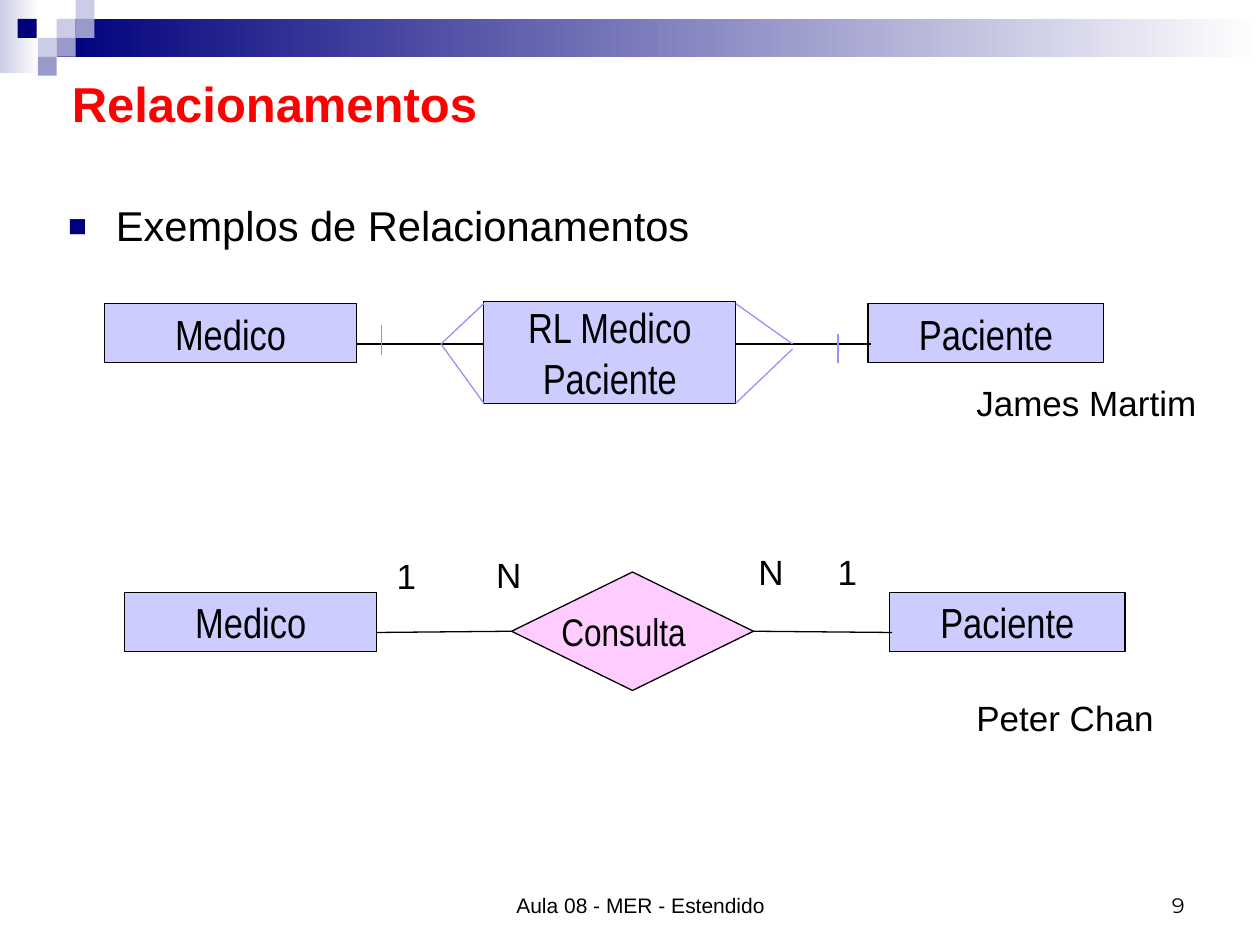
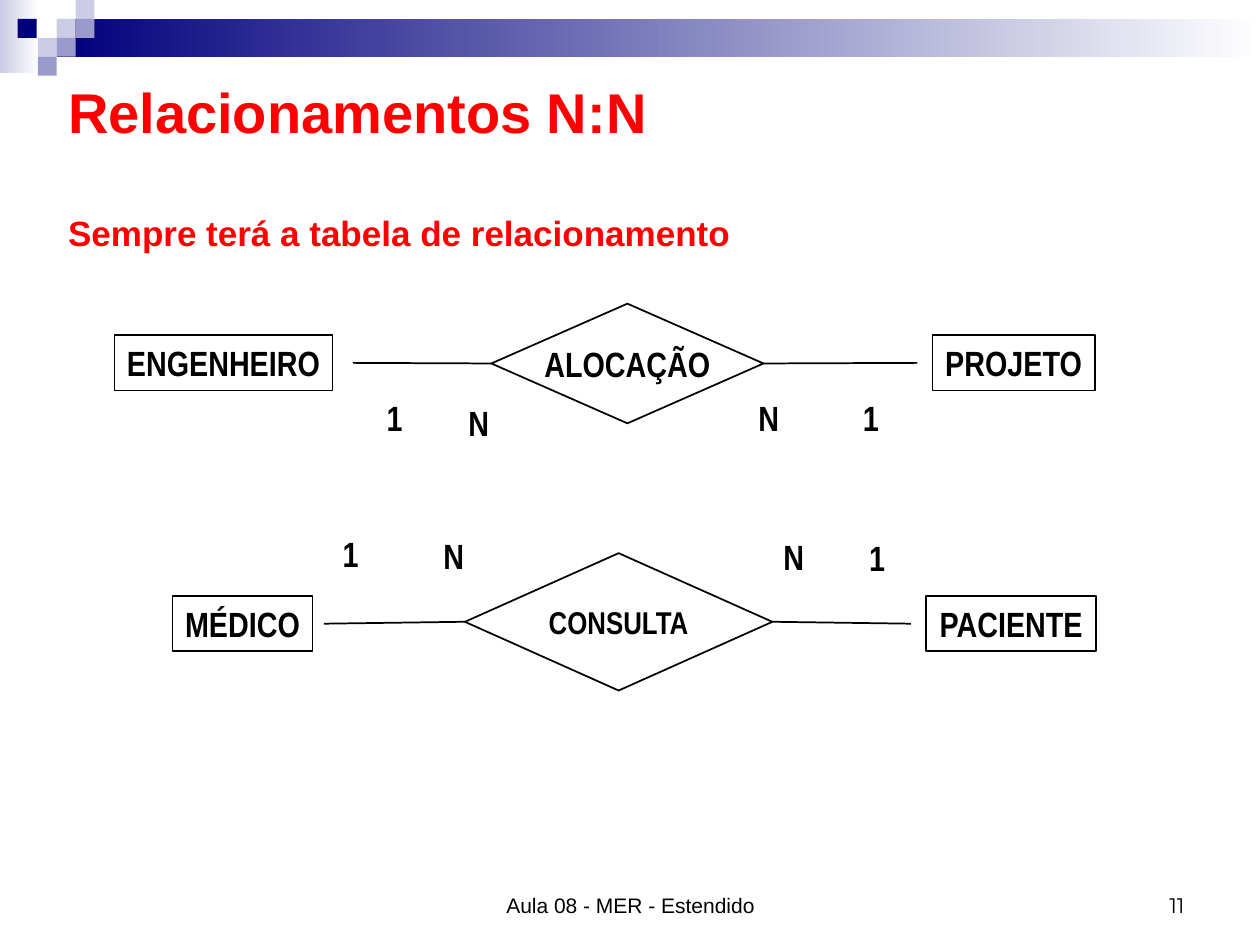
from lxml.etree import SubElement
from pptx import Presentation
from pptx.dml.color import RGBColor
from pptx.enum.shapes import MSO_CONNECTOR, MSO_SHAPE
from pptx.enum.text import MSO_ANCHOR, MSO_AUTO_SIZE, PP_ALIGN
from pptx.oxml.ns import qn
from pptx.util import Emu, Pt

BLACK = RGBColor(0x00, 0x00, 0x00)
WHITE = RGBColor(0xFF, 0xFF, 0xFF)
RED = RGBColor(0xFF, 0x00, 0x00)
NAVY = RGBColor(0x00, 0x00, 0x7D)
LAVENDER = RGBColor(0xCC, 0xCC, 0xE6)
VIOLET = RGBColor(0x99, 0x99, 0xCC)
ENTITY_BLUE = RGBColor(0xCC, 0xCC, 0xFF)
RELATION_PINK = RGBColor(0xFF, 0xCC, 0xFF)
CROW_FOOT = RGBColor(0x93, 0x93, 0xFC)

SANS = "Arial"
NARROW = "Arial Narrow"
NUMBER_FONT = "Montserrat"
LEFT_SIDE, RIGHT_SIDE = 1, 3
FOOTER = "Aula 08 - MER - Estendido"


def px(length):
    """Turn px (100 to the inch) into EMU."""
    return Emu(int(length * 9144))


class LessonDeck:
    """Hold the lesson style and the slide being drawn."""

    def __init__(self):
        """Open an empty 1000 by 750 px deck."""
        self.deck = Presentation()
        self.deck.slide_width, self.deck.slide_height = px(1000), px(750)
        self.page = None
        self.stroke = 0.75
        self.bold = False

    def new_page(self, number, footer_left, stroke, bold):
        """Add a slide with the shared band and footer."""
        self.page = self.deck.slides.add_slide(self.deck.slide_layouts[6])
        self.stroke, self.bold = stroke, bold
        self.block((0, 0, 31, 58), LAVENDER, WHITE)
        self.block((45, 15, 955, 30), NAVY, WHITE)
        for left, top, color in (
            (45, 15, LAVENDER), (60, 0, LAVENDER), (60, 15, VIOLET),
            (30, 30, LAVENDER), (14, 15, NAVY), (45, 30, VIOLET), (30, 45, VIOLET),
        ):
            self.block((left, top, 15, 15), color)
        self.text((717, 683, 233, 50), number, 12, NUMBER_FONT,
                  align=PP_ALIGN.RIGHT, anchor=MSO_ANCHOR.BOTTOM)
        self.text((footer_left, 683, 317, 50), FOOTER, 12,
                  align=PP_ALIGN.CENTER, anchor=MSO_ANCHOR.BOTTOM)

    def shape(self, kind, place):
        """Add a preset shape without shadow."""
        shape = self.page.shapes.add_shape(kind, *map(px, place))
        shape.shadow.inherit = False
        return shape

    def block(self, place, color, fade_to=None):
        """Add a borderless block, plain or fading to the right."""
        block = self.shape(MSO_SHAPE.RECTANGLE, place)
        block.line.fill.background()
        if fade_to is None:
            block.fill.solid()
            block.fill.fore_color.rgb = color
            return
        block.fill.gradient()
        block.fill.gradient_angle = 0
        for stop, stop_color in zip(block.fill.gradient_stops, (color, fade_to)):
            stop.color.rgb = stop_color

    def frame(self, box, anchor, wrap, inset=10, right=None):
        """Set up the text frame of a box."""
        frame = box.text_frame
        frame.word_wrap = wrap
        frame.vertical_anchor = anchor
        frame.margin_left = px(inset)
        frame.margin_right = px(inset if right is None else right)
        frame.margin_top = frame.margin_bottom = px(5)
        return frame

    def span(self, para, words, size, font, color=BLACK, bold=False):
        """Add one styled run to a paragraph."""
        span = para.add_run()
        span.text = words
        span.font.size, span.font.name, span.font.bold = Pt(size), font, bold
        span.font.color.rgb = color

    def text(self, place, words, size, font=SANS, color=BLACK, bold=False,
             align=PP_ALIGN.LEFT, anchor=MSO_ANCHOR.TOP, wrap=True, inset=10):
        """Add a one-paragraph text box and return its frame."""
        box = self.page.shapes.add_textbox(*map(px, place))
        frame = self.frame(box, anchor, wrap, inset)
        para = frame.paragraphs[0]
        para.alignment = align
        self.span(para, words, size, font, color, bold)
        return frame

    def title(self, place, words, size, subtitle=None):
        """Add the red title and, if given, a line below it."""
        frame = self.text(place, words, size, color=RED, bold=True,
                          anchor=MSO_ANCHOR.MIDDLE, inset=7)
        if subtitle:
            para = frame.add_paragraph()
            para.space_before = Pt(38)
            self.span(para, subtitle, 20, SANS, RED, True)

    def bullet(self, place, words):
        """Add a body line with a square bullet."""
        para = self.text(place, words, 23.8, inset=7).paragraphs[0]
        properties = para._p.get_or_add_pPr()
        properties.set("marL", str(px(38)))
        properties.set("indent", str(px(-38)))
        color = SubElement(properties, qn("a:buClr"))
        SubElement(color, qn("a:srgbClr"), val=str(NAVY))
        SubElement(properties, qn("a:buSzPct"), val="75000")
        SubElement(properties, qn("a:buFont"), typeface=SANS)
        SubElement(properties, qn("a:buChar"), char="■")

    def node(self, kind, place, lines, size, color=None, right=10):
        """Add an outlined diagram node with centred text."""
        node = self.shape(kind, place)
        if color is None:
            node.fill.background()
        else:
            node.fill.solid()
            node.fill.fore_color.rgb = color
        node.line.color.rgb, node.line.width = BLACK, Pt(self.stroke)
        frame = self.frame(node, MSO_ANCHOR.MIDDLE, False, right=right)
        for index, words in enumerate(lines):
            para = frame.add_paragraph() if index else frame.paragraphs[0]
            para.alignment = PP_ALIGN.CENTER
            self.span(para, words, size, NARROW, bold=self.bold)
        return node

    def entity(self, place, *lines, size=24, color=None):
        """Add an entity rectangle."""
        return self.node(MSO_SHAPE.RECTANGLE, place, lines, size, color)

    def relation(self, place, name, size, left_end, right_end, color=None, right=10):
        """Add a relationship diamond joined to a point on either side."""
        diamond = self.node(MSO_SHAPE.FLOWCHART_DECISION, place, [name], size, color, right)
        for end, side in ((left_end, LEFT_SIDE), (right_end, RIGHT_SIDE)):
            self.line(end, end, target=diamond, side=side)

    def line(self, start, end, color=BLACK, target=None, side=None):
        """Add a straight line, joined to a target side if one is given."""
        line = self.page.shapes.add_connector(MSO_CONNECTOR.STRAIGHT, *map(px, start + end))
        line.line.color.rgb, line.line.width = color, Pt(self.stroke)
        SubElement(line._element.spPr, qn("a:effectLst"))
        if target is not None:
            line.end_connect(target, side)

    def label(self, left, top, width, words, font=SANS):
        """Add a free label sized to its text."""
        align = PP_ALIGN.CENTER if self.bold else PP_ALIGN.LEFT
        frame = self.text((left, top, width, 44), words, 20, font,
                          bold=self.bold, align=align, wrap=False)
        frame.auto_size = MSO_AUTO_SIZE.SHAPE_TO_FIT_TEXT


def draw_examples(lesson):
    """Draw the two notations of the same relationship."""
    lesson.new_page("9", 350, stroke=0.75, bold=False)
    lesson.title((50, 50, 432, 64), "Relacionamentos", 28)
    lesson.bullet((47, 154, 631, 51), "Exemplos de Relacionamentos")

    for left, right, top in ((83, 689, 241), (99, 706, 470)):
        lesson.entity((left, top, 200, 47), "Medico", color=ENTITY_BLUE)
        lesson.entity((right, top, 187, 47), "Paciente", color=ENTITY_BLUE)

    lesson.line((691, 273), (583, 273))
    lesson.line((283, 273), (391, 273))
    lesson.entity((384, 239, 200, 81), "RL Medico", "Paciente", color=ENTITY_BLUE)
    for start, end in (
        ((665, 265), (665, 288)), ((303, 258), (303, 282)),
        ((350, 273), (384, 241)), ((350, 273), (384, 320)),
        ((629, 273), (584, 241)), ((629, 277), (584, 320)),
    ):
        lesson.line(start, end, CROW_FOOT)

    lesson.relation((406, 454, 192, 94), "Consulta", 22, (299, 502), (708, 502),
                    RELATION_PINK, right=24)
    for left, top, width, words in (
        (655, 432, 35, "1"), (305, 435, 35, "1"), (384, 434, 40, "N"),
        (592, 432, 40, "N"), (765, 548, 168, "Peter Chan"),
        (765, 298, 195, "James Martim"),
    ):
        lesson.label(left, top, width, words)


def draw_many_to_many(lesson):
    """Draw the two many-to-many relationships."""
    lesson.new_page("11", 342, stroke=1, bold=True)
    lesson.title((47, 87, 666, 89), "Relacionamentos N:N", 32,
                 "Sempre terá a tabela de relacionamento")

    for left, top, width, name in (
        (91, 266, 173, "ENGENHEIRO"), (740, 266, 129, "PROJETO"),
        (137, 473, 111, "MÉDICO"), (735, 473, 135, "PACIENTE"),
    ):
        lesson.entity((left, top, width, 44), name, size=20)
    lesson.relation((390, 241, 216, 95), "ALOCAÇÃO", 20, (280, 288), (728, 288))
    lesson.relation((369, 439, 244, 109), "CONSULTA", 18, (257, 495), (723, 495))

    for left, top, words in (
        (297, 310, "1"), (362, 314, "N"), (592, 310, "N"), (675, 310, "1"),
        (262, 418, "1"), (342, 419, "N"), (612, 420, "N"), (680, 421, "1"),
    ):
        lesson.label(left, top, 36 if words == "N" else 32, words, NARROW)


def main():
    """Build and save the lesson."""
    lesson = LessonDeck()
    draw_examples(lesson)
    draw_many_to_many(lesson)
    lesson.deck.save("out.pptx")


if __name__ == "__main__":
    main()
